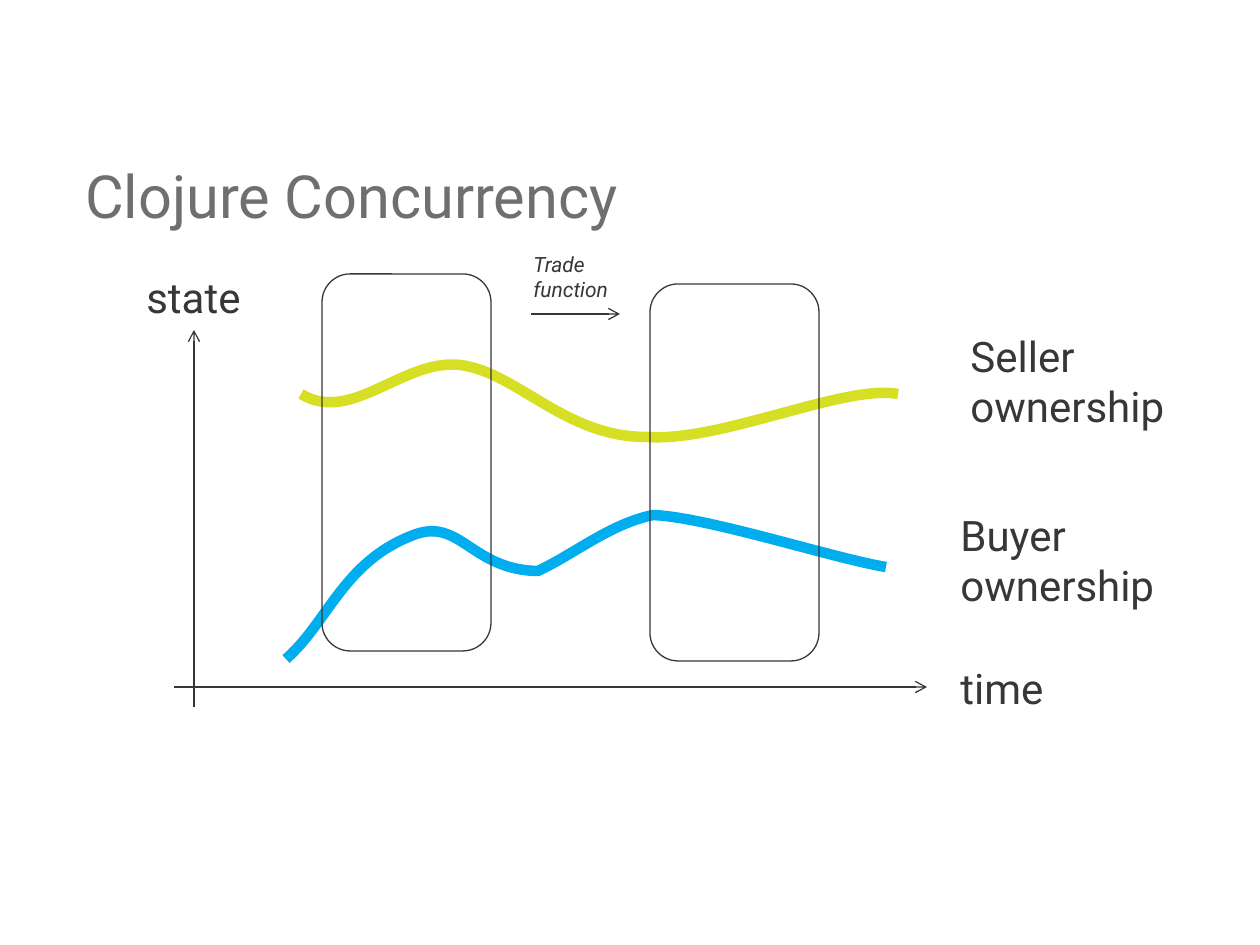
from dataclasses import dataclass

from lxml import etree
from pptx import Presentation
from pptx import util as u
from pptx.dml.color import RGBColor
from pptx.enum import shapes, text
from pptx.oxml import ns

PX = 914400 / 126


def px(length):
    return u.Emu(round(length * PX))


@dataclass(frozen=True)
class Theme:
    font: str = "Roboto"
    ink: str = "363738"
    heading: str = "6D6F71"
    buyer: str = "00ADEF"
    seller: str = "D6DF23"
    title_size: int = 34
    label_size: int = 24
    note_size: int = 12
    thin: float = 0.75
    thick: float = 6


class Diagram:
    def __init__(self, slide, theme):
        self.slide = slide
        self.theme = theme

    def stroke(self, line, color, width):
        line.color.rgb = RGBColor.from_string(color)
        line.width = u.Pt(width)

    def label(self, box, words, size, color, italic=None, wrap=False):
        shape = self.slide.shapes.add_textbox(*map(px, box))
        frame = shape.text_frame
        frame.text = words
        frame.word_wrap = wrap
        if wrap:
            frame.vertical_anchor = text.MSO_ANCHOR.MIDDLE
        else:
            frame.auto_size = text.MSO_AUTO_SIZE.SHAPE_TO_FIT_TEXT
        for paragraph in frame.paragraphs:
            for run in paragraph.runs:
                run.font.name = self.theme.font
                run.font.size = u.Pt(size)
                run.font.italic = italic
                run.font.color.rgb = RGBColor.from_string(color)

    def arrow(self, start, end):
        connector = self.slide.shapes.add_connector(
            shapes.MSO_CONNECTOR.STRAIGHT, *map(px, start + end))
        self.stroke(connector.line, self.theme.ink, self.theme.thin)
        properties = connector.element.spPr
        etree.SubElement(properties.find(ns.qn("a:ln")), ns.qn("a:tailEnd"), type="arrow")
        etree.SubElement(properties, ns.qn("a:effectLst"))

    def rounded_frame(self, box):
        shape = self.slide.shapes.add_shape(
            shapes.MSO_SHAPE.ROUNDED_RECTANGLE, *map(px, box))
        shape.shadow.inherit = False
        shape.fill.background()
        self.stroke(shape.line, self.theme.ink, self.theme.thin)

    def curve(self, points, color):
        builder = self.slide.shapes.build_freeform(*points[0], scale=PX)
        builder.add_line_segments(points[1:], close=False)
        shape = builder.convert_to_shape()
        shape.shadow.inherit = False
        shape.fill.background()
        self.stroke(shape.line, color, self.theme.thick)
        segments = shape.element.xpath(".//a:lnTo")
        for first in range(0, len(segments), 3):
            bezier = etree.Element(ns.qn("a:cubicBezTo"))
            segments[first].addprevious(bezier)
            for segment in segments[first:first + 3]:
                bezier.append(segment[0])
                segment.getparent().remove(segment)


def main():
    presentation = Presentation()
    presentation.slide_width = u.Inches(10)
    presentation.slide_height = u.Inches(7.5)
    slide = presentation.slides.add_slide(presentation.slide_layouts[6])
    theme = Theme()
    diagram = Diagram(slide, theme)

    diagram.curve([(286, 659), (328, 622), (343, 563), (411, 536),
                   (460, 515), (470, 570), (538, 571),
                   (576, 553), (610, 524), (653, 515),
                   (707, 517), (832, 558), (886, 567)], theme.buyer)
    diagram.label((73, 147, 882, 95), "Clojure Concurrency",
                  theme.title_size, theme.heading, wrap=True)
    diagram.arrow((174, 687), (927, 687))
    diagram.arrow((194, 707), (194, 330))
    for box, words in [((948, 656, 110, 63), "time"),
                       ((134, 265, 123, 63), "state"),
                       ((948, 503, 220, 115), "Buyer\nownership")]:
        diagram.label(box, words, theme.label_size, theme.ink)

    diagram.curve([(301, 394), (352, 425), (403, 358), (461, 365),
                   (518, 373), (566, 438), (648, 437),
                   (721, 442), (845, 384), (898, 394)], theme.seller)
    diagram.label((958, 324, 220, 115), "Seller\nownership",
                  theme.label_size, theme.ink)
    for left, top in [(322, 274), (650, 284)]:
        diagram.rounded_frame((left, top, 169, 377))
    diagram.arrow((531, 314), (620, 314))
    diagram.label((521, 245, 107, 63), "Trade\nfunction",
                  theme.note_size, theme.ink, italic=True)
    presentation.save("out.pptx")


if __name__ == "__main__":
    main()
